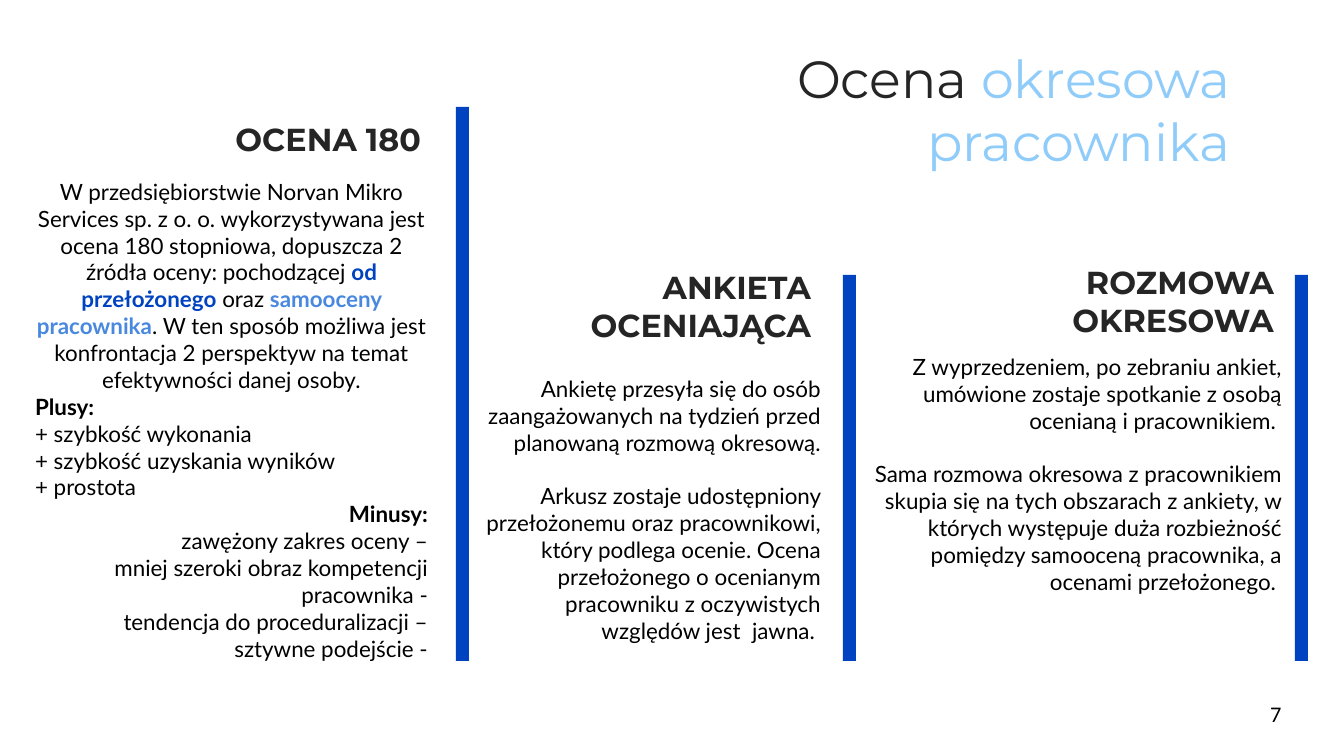
from dataclasses import dataclass

from pptx import Presentation
from pptx.dml.color import RGBColor
from pptx.enum.shapes import MSO_SHAPE
from pptx.enum.text import MSO_ANCHOR as Anchor, PP_ALIGN as Align
from pptx.util import Emu, Pt

EMU_PER_PX = 914400 / 134.4


@dataclass(frozen=True)
class Theme:
    ink: str = "252525"
    black: str = "000000"
    blue: str = "0043C1"
    mid_blue: str = "4888DE"
    sky: str = "90CCFA"
    display_font: str = "Montserrat"
    body_font: str = "Lato"
    number_font: str = "Calibri"
    title_size: int = 28
    heading_size: int = 17
    body_size: int = 12
    paragraph_gap: float = 14.4


THEME = Theme()
BAR_WIDTH = 13
BAR_BOTTOM = 661
INSET = 13

RATING_TEXT = [
    (Align.CENTER, [
        ("W przedsiębiorstwie Norvan Mikro Services sp. z o. o. wykorzystywana jest "
         "ocena 180 stopniowa, dopuszcza 2 źródła oceny: pochodzącej ", None),
        ("od przełożonego", THEME.blue),
        (" oraz ", None),
        ("samooceny pracownika", THEME.mid_blue),
        (". W ten sposób możliwa jest konfrontacja 2 perspektyw na temat "
         "efektywności danej osoby.", None),
    ]),
    (Align.LEFT, [("Plusy:", THEME.black)]),
    (Align.LEFT, [("+ szybkość wykonania", None)]),
    (Align.LEFT, [("+ szybkość uzyskania wyników", None)]),
    (Align.LEFT, [("+ prostota", None)]),
    (Align.RIGHT, [("Minusy:", THEME.black)]),
    (Align.RIGHT, [("zawężony zakres oceny –", None)]),
    (Align.RIGHT, [("mniej szeroki obraz kompetencji pracownika -", None)]),
    (Align.RIGHT, [("tendencja do proceduralizacji –", None)]),
    (Align.RIGHT, [("sztywne podejście -", None)]),
]

SURVEY_TEXT = [
    (Align.RIGHT, [("Ankietę przesyła się do osób zaangażowanych na tydzień przed "
                    "planowaną rozmową okresową.", None)]),
    (Align.RIGHT, [("Arkusz zostaje udostępniony przełożonemu oraz pracownikowi, "
                    "który podlega ocenie. Ocena przełożonego o ocenianym pracowniku "
                    "z oczywistych względów jest  jawna. ", None)]),
]

INTERVIEW_TEXT = [
    (Align.RIGHT, [("Z wyprzedzeniem, po zebraniu ankiet, umówione zostaje spotkanie "
                    "z osobą ocenianą i pracownikiem. ", None)]),
    (Align.RIGHT, [("Sama rozmowa okresowa z pracownikiem skupia się na tych obszarach "
                    "z ankiety, w których występuje duża rozbieżność pomiędzy samooceną "
                    "pracownika, a ocenami przełożonego. ", None)]),
]

COLUMNS = [
    ("OCENA 180", (99, 106, 335, 65), RATING_TEXT, (22, 165, 419, 536), 0, (456, 107)),
    ("ANKIETA OCENIAJĄCA", (480, 292, 344, 65), SURVEY_TEXT, (470, 362, 364, 341),
     THEME.paragraph_gap, (843, 275)),
    ("ROZMOWA OKRESOWA", (915, 255, 372, 97), INTERVIEW_TEXT, (857, 340, 438, 362),
     THEME.paragraph_gap, (1295, 275)),
]


def px(length):
    return Emu(round(length * EMU_PER_PX))


def style(font, name, size, color, bold=False):
    font.name = name
    font.size = Pt(size)
    font.bold = bold
    font.color.rgb = RGBColor.from_string(color)


def add_frame(slide, area, anchor):
    frame = slide.shapes.add_textbox(*map(px, area)).text_frame
    frame.word_wrap = True
    frame.vertical_anchor = anchor
    frame.margin_left = frame.margin_right = px(INSET)
    frame.margin_top = frame.margin_bottom = px(INSET)
    return frame


def add_line(slide, area, text, align, anchor, *look):
    line = add_frame(slide, area, anchor).paragraphs[0]
    line.text = text
    line.alignment = align
    style(line.font, *look)


def add_title(slide):
    title = add_frame(slide, (515, 28, 728, 157), Anchor.BOTTOM).paragraphs[0]
    title.alignment = Align.RIGHT
    for words, color in (("Ocena ", THEME.ink), ("okresowa pracownika", THEME.sky)):
        run = title.add_run()
        run.text = words
        style(run.font, THEME.display_font, THEME.title_size, color)


def add_body(slide, area, content, gap):
    frame = add_frame(slide, area, Anchor.TOP)
    for index, (align, pieces) in enumerate(content):
        paragraph = frame.add_paragraph() if index else frame.paragraphs[0]
        paragraph.alignment = align
        paragraph.space_before = Pt(gap if index else 0)
        style(paragraph.font, THEME.body_font, THEME.body_size, THEME.black)
        for words, emphasis in pieces:
            run = paragraph.add_run()
            run.text = words
            style(run.font, THEME.body_font, THEME.body_size,
                  emphasis or THEME.black, bool(emphasis))


def add_bar(slide, left, top):
    bar = slide.shapes.add_shape(MSO_SHAPE.RECTANGLE, px(left), px(top),
                                 px(BAR_WIDTH), px(BAR_BOTTOM - top))
    bar.shadow.inherit = False
    bar.fill.solid()
    bar.fill.fore_color.rgb = RGBColor.from_string(THEME.blue)
    bar.line.fill.background()


def main():
    presentation = Presentation()
    presentation.slide_width = px(1344)
    presentation.slide_height = px(756)
    slide = presentation.slides.add_slide(presentation.slide_layouts[6])

    add_title(slide)
    for heading, heading_area, content, body_area, gap, bar_corner in COLUMNS:
        add_line(slide, heading_area, heading, Align.RIGHT, Anchor.BOTTOM,
                 THEME.display_font, THEME.heading_size, THEME.ink, True)
        add_body(slide, body_area, content, gap)
        add_bar(slide, *bar_corner)
    add_line(slide, (1257, 685, 81, 58), "7", Align.LEFT, Anchor.MIDDLE,
             THEME.number_font, THEME.body_size, THEME.black)

    presentation.save("out.pptx")


if __name__ == "__main__":
    main()
